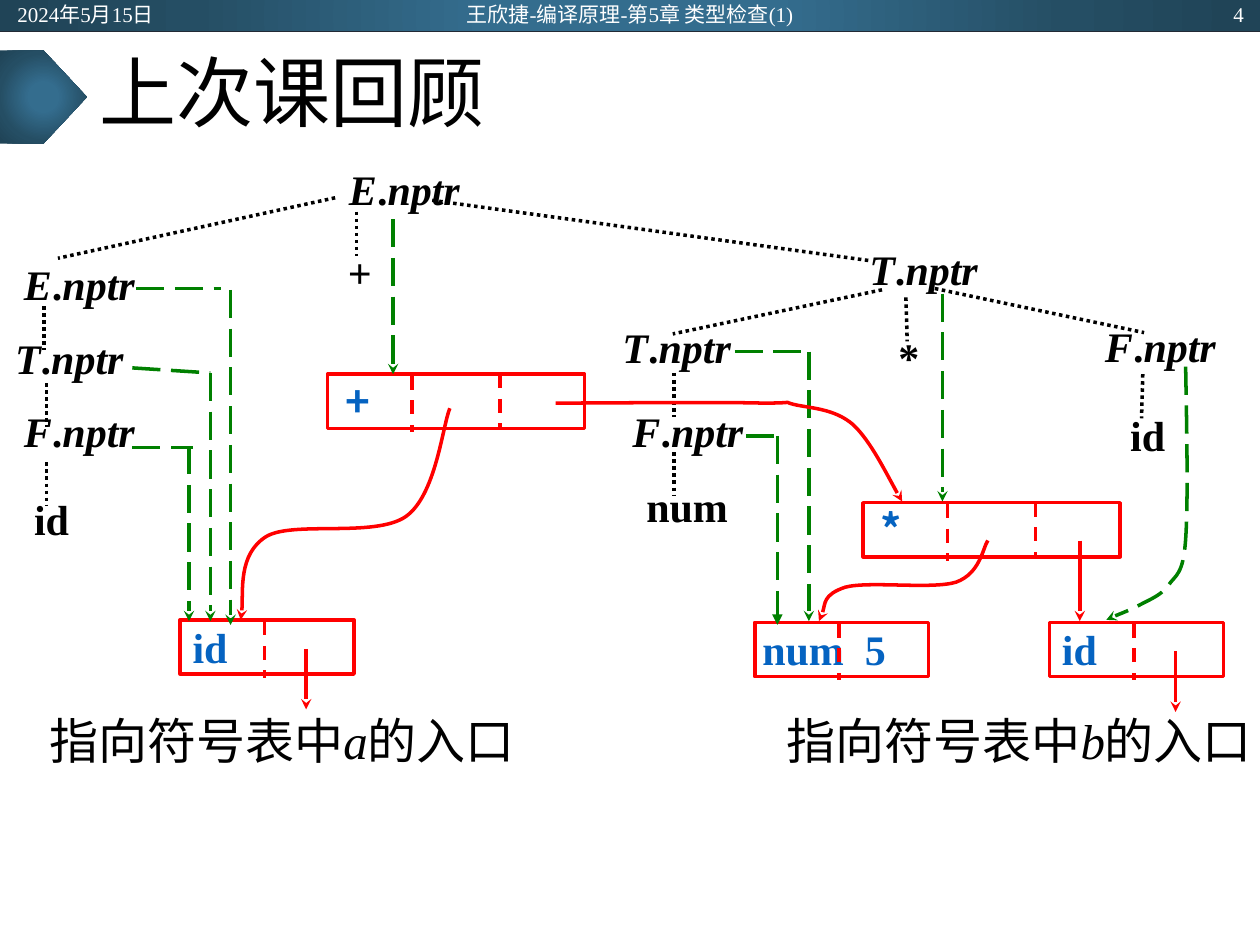
from lxml import etree
from pptx import Presentation, oxml
from pptx import util as u
from pptx.dml.color import RGBColor
from pptx.enum import dml, shapes, text
from pptx.oxml import ns

BLACK, WHITE, RED, GREEN, BLUE = "000000", "FFFFFF", "FF0000", "008000", "0563C1"
LEFT, CENTER, RIGHT = text.PP_ALIGN.LEFT, text.PP_ALIGN.CENTER, text.PP_ALIGN.RIGHT
DASH = dml.MSO_LINE
GRADIENT = [(0, "346D8E"), (23, "346D8E"), (69, "254E64"), (97, "204457")]


def rgb(value):
    return RGBColor.from_string(value)


class Slide:
    font, cjk = "Times New Roman", "Noto Sans CJK SC"
    tight = (0.02, 0.01, 0.02, 0.01)

    def __init__(self, prs):
        self.s = prs.slides.add_slide(prs.slide_layouts[6])

    def stroke(self, line, color, width=2, dash=None, tail=None):
        line.color.rgb = rgb(color)
        line.width = u.Pt(width)
        if dash:
            line.dash_style = dash
        if tail:
            ln = line.color._xFill.getparent()
            etree.SubElement(ln, ns.qn("a:tailEnd"), type=tail)

    def set_text(self, sp, parts, size, color, font=None, bold=False,
                 align=LEFT, inset=None, middle=False, spacing=None):
        """Fill a shape with runs given as (wording, italic)."""
        tf = sp.text_frame
        tf.word_wrap = True
        tf.vertical_anchor = text.MSO_ANCHOR.MIDDLE if middle else text.MSO_ANCHOR.TOP
        if inset:
            (tf.margin_left, tf.margin_top,
             tf.margin_right, tf.margin_bottom) = map(u.Inches, inset)
        p = tf.paragraphs[0]
        p.alignment = align
        if spacing:
            p.line_spacing = spacing
        for wording, italic in parts:
            r = p.add_run()
            r.text = wording
            r.font.size, r.font.bold, r.font.italic = u.Pt(size), bold, italic
            r.font.name = font or self.font
            r.font.color.rgb = rgb(color)
            etree.SubElement(r._r.get_or_add_rPr(), ns.qn("a:ea"), typeface=self.cjk)

    def textbox(self, box, parts, size, color=BLACK, **style):
        sp = self.s.shapes.add_textbox(*map(u.Inches, box))
        self.set_text(sp, parts, size, color, **style)

    def label(self, x, y, w, h, wording):
        """Tree node: an attribute such as E.nptr, or a plain token."""
        head, dot, tail = wording.partition(".")
        parts = [(head, True), (dot, False), (tail, True)] if dot else [(head, False)]
        self.textbox((x, y, w, h), parts, 24, bold=True, inset=self.tight)

    def shape(self, kind, x, y, w, h):
        sp = self.s.shapes.add_shape(kind, *map(u.Inches, (x, y, w, h)))
        sp.shadow.inherit = False
        return sp

    def gradient(self, kind, *box):
        sp = self.shape(kind, *box)
        sp.line.fill.background()
        stops = "".join(f'<a:gs pos="{pos * 1000}"><a:srgbClr val="{c}"/></a:gs>'
                        for pos, c in GRADIENT)
        fill = oxml.parse_xml(
            f'<a:gradFill {ns.nsdecls("a")}><a:gsLst>{stops}</a:gsLst><a:path path="circle">'
            '<a:fillToRect l="50000" t="50000" r="50000" b="50000"/></a:path></a:gradFill>')
        sp._element.spPr.find(ns.qn("a:prstGeom")).addnext(fill)

    def line(self, x1, y1, x2, y2, color=BLACK, **style):
        c = self.s.shapes.add_connector(
            shapes.MSO_CONNECTOR.STRAIGHT, *map(u.Inches, (x1, y1, x2, y2)))
        self.stroke(c.line, color, **style)
        etree.SubElement(c._element.spPr, ns.qn("a:effectLst"))

    def curve(self, points, color, dash=None):
        """Bezier chain: a start point, then three points per segment."""
        pts = [(u.Inches(x), u.Inches(y)) for x, y in points]
        builder = self.s.shapes.build_freeform(*pts[0])
        builder.add_line_segments(pts[1:], close=False)
        sp = builder.convert_to_shape()
        sp.shadow.inherit = False
        sp.fill.background()
        self.stroke(sp.line, color, dash=dash, tail="stealth")
        outline = next(sp._element.iter(ns.qn("a:path")))
        steps = outline.findall(ns.qn("a:lnTo"))
        for i in range(0, len(steps), 3):
            bezier = etree.SubElement(outline, ns.qn("a:cubicBezTo"))
            for step in steps[i:i + 3]:
                bezier.append(step[0])
                outline.remove(step)

    def record(self, x, y, w, wording, inset, font=None, pointer=False):
        """Syntax tree node; wide ones have three cells."""
        sp = self.shape(shapes.MSO_SHAPE.RECTANGLE, x, y, w, 0.43)
        sp.fill.background()
        self.stroke(sp.line, RED)
        self.set_text(sp, [(wording, False)], 24, BLUE, font=font, bold=True,
                      inset=(inset, 0.01, 0.02, 0.01))
        self.line(x + 0.67, y + 0.01, x + 0.67, y + 0.46, RED, dash=DASH.DASH)
        if w > 2:
            self.line(x + 1.37, y, x + 1.37, y + 0.42, RED, dash=DASH.DASH)
        if pointer:
            self.line(x + 1, y + 0.23, x + 1, y + 0.71, RED, tail="stealth")


prs = Presentation()
prs.slide_width, prs.slide_height = u.Inches(10), u.Inches(7.5)
slide = Slide(prs)

# Header band and title
slide.gradient(shapes.MSO_SHAPE.RECTANGLE, 0, 0, 10, 0.25)
slide.line(0, 0.25, 10, 0.25, "222A35", width=0.5)
slide.gradient(shapes.MSO_SHAPE.PENTAGON, 0, 0.4, 0.69, 0.74)
slide.textbox((0.69, 0.25, 8.62, 1.04), [("上次课回顾", False)], 44,
              middle=True, spacing=0.9)
for x, w, wording, align in [
        (0.04, 2.25, "2024年5月15日", LEFT),
        (3.31, 3.38, "王欣捷-编译原理-第5章 类型检查(1)", CENTER),
        (7.72, 2.25, "4", RIGHT)]:
    slide.textbox((x, 0.01, w, 0.2), [(wording, False)], 12, WHITE,
                  align=align, middle=True)

# Parse tree labels
for node in [
        (2.75, 1.29, 1, 0.4, "E.nptr"), (6.88, 1.92, 0.96, 0.37, "T.nptr"),
        (0.17, 2.04, 0.96, 0.33, "E.nptr"), (0.1, 2.63, 1.06, 0.4, "T.nptr"),
        (0.17, 3.21, 1, 0.45, "F.nptr"), (0.25, 3.91, 0.39, 0.35, "id"),
        (4.92, 2.54, 1.17, 0.38, "T.nptr"), (2.74, 1.95, 0.28, 0.33, "+"),
        (7.11, 2.62, 0.28, 0.33, "*"), (5, 3.21, 1, 0.36, "F.nptr"),
        (8.75, 2.53, 1, 0.35, "F.nptr"), (8.95, 3.24, 0.41, 0.38, "id"),
        (5.11, 3.8, 0.73, 0.35, "num")]:
    slide.label(*node)

# Parse tree edges: sloping branches, then short vertical links
for edge in [(2.66, 1.57, 0.46, 2.05), (3.43, 1.59, 6.91, 2.07),
             (7, 2.3, 5.34, 2.65), (7.42, 2.29, 9.08, 2.64)]:
    slide.line(*edge, dash=DASH.ROUND_DOT)
for x, y, shift in [(0.35, 2.43, 0), (0.37, 3.04, 0), (0.37, 3.67, 0),
                    (2.83, 1.68, 0), (7.19, 2.36, 0.01), (5.35, 2.96, 0),
                    (5.35, 3.59, 0), (9.07, 2.97, -0.01)]:
    slide.line(x, y, x + shift, y + 0.35, dash=DASH.ROUND_DOT)

# Syntax tree nodes
slide.record(1.43, 4.92, 1.38, "id", 0.1, pointer=True)
slide.record(8.33, 4.94, 1.38, "id", 0.1, pointer=True)
slide.record(5.99, 4.94, 1.38, "num  5", 0.06)
slide.record(6.85, 3.99, 2.04, "*", 0.14, font=slide.cjk)
slide.record(2.6, 2.97, 2.04, "+", 0.14, font=slide.cjk)

# Symbol table captions
for x, name in [(0.33, "a"), (6.18, "b")]:
    slide.textbox((x, 5.63, 3.82, 0.58),
                  [("指向符号表中", False), (name, True), ("的入口", False)],
                  28, align=CENTER, inset=slide.tight)

# Attribute pointers: plain stubs, then arrows down to the nodes
for stub in [(1.08, 2.29, 1.75, 2.29), (1.05, 2.92, 1.67, 2.96), (1.05, 3.55, 1.53, 3.55),
             (5.83, 2.79, 6.42, 2.79), (5.92, 3.46, 6.2, 3.46)]:
    slide.line(*stub, GREEN, dash=DASH.LONG_DASH)
for x, top, bottom, tail in [
        (3.12, 1.74, 2.97, "stealth"), (1.83, 2.3, 4.96, "stealth"),
        (6.42, 2.79, 4.93, "stealth"), (7.48, 2.33, 3.98, "stealth"),
        (1.5, 3.54, 4.93, "stealth"), (1.67, 2.96, 4.93, "stealth"),
        (6.17, 3.46, 4.96, "triangle")]:
    slide.line(x, top, x, bottom, GREEN, dash=DASH.LONG_DASH, tail=tail)
slide.curve([(9.41, 2.91), (9.42, 3.45), (9.43, 3.99), (9.41, 4.28),
             (9.39, 4.57), (9.33, 4.56), (9.27, 4.65), (9.21, 4.73), (9.12, 4.76),
             (9.03, 4.81), (8.95, 4.85), (8.84, 4.89), (8.78, 4.92)],
            GREEN, DASH.LONG_DASH)

# Child pointers between syntax tree nodes
slide.line(8.57, 4.29, 8.57, 4.93, RED, tail="stealth")
slide.curve([(3.57, 3.24), (3.51, 3.39), (3.46, 3.93), (3.22, 4.1), (2.97, 4.27),
             (2.32, 4.13), (2.11, 4.26), (1.89, 4.4), (1.94, 4.81), (1.91, 4.92)], RED)
slide.curve([(4.41, 3.2), (4.69, 3.2), (5.74, 3.19), (6.05, 3.2), (6.37, 3.2),
             (6.18, 3.18), (6.3, 3.21), (6.42, 3.24), (6.62, 3.24), (6.77, 3.37),
             (6.91, 3.5), (7.08, 3.85), (7.16, 3.98)], RED)
slide.curve([(7.84, 4.29), (7.8, 4.35), (7.78, 4.55), (7.59, 4.62), (7.4, 4.68),
             (6.9, 4.61), (6.71, 4.66), (6.53, 4.72), (6.54, 4.88), (6.5, 4.93)], RED)

prs.save("out.pptx")
